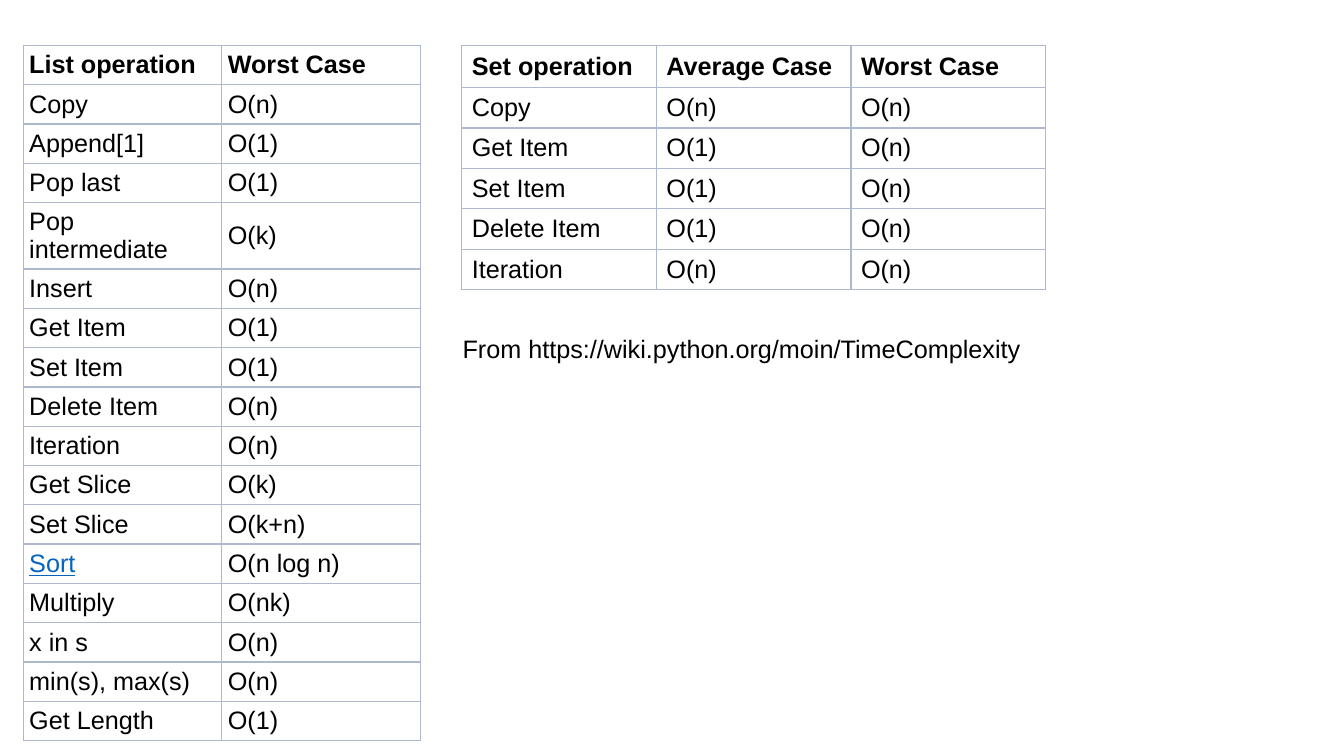
from lxml import etree
from pptx import Presentation
from pptx.dml.color import RGBColor as RGB
from pptx.enum.text import MSO_ANCHOR as Anchor, MSO_AUTO_SIZE as AutoSize
from pptx.oxml.ns import qn
from pptx.util import Inches, Pt

COLORS = {"text": "000000", "link": "0563C1", "cell": "FFFFFF", "border": "ADB9CC"}

LIST_COSTS = [
    ("List operation", "Worst Case"),
    ("Copy", "O(n)"),
    ("Append[1]", "O(1)"),
    ("Pop last", "O(1)"),
    ("Pop intermediate", "O(k)"),
    ("Insert", "O(n)"),
    ("Get Item", "O(1)"),
    ("Set Item", "O(1)"),
    ("Delete Item", "O(n)"),
    ("Iteration", "O(n)"),
    ("Get Slice", "O(k)"),
    ("Set Slice", "O(k+n)"),
    ("Sort", "O(n log n)"),
    ("Multiply", "O(nk)"),
    ("x in s", "O(n)"),
    ("min(s), max(s)", "O(n)"),
    ("Get Length", "O(1)"),
]
SET_COSTS = [
    ("Set operation", "Average Case", "Worst Case"),
    ("Copy", "O(n)", "O(n)"),
    ("Get Item", "O(1)", "O(n)"),
    ("Set Item", "O(1)", "O(n)"),
    ("Delete Item", "O(1)", "O(n)"),
    ("Iteration", "O(n)", "O(n)"),
]


class ComplexitySlide:
    """Holds the text style and the slide being filled."""

    def __init__(self, slide, font="Arial", size=18):
        self.slide, self.font, self.size = slide, font, size

    def style(self, paragraph, color="text", bold=False, underline=False):
        for run in paragraph.runs:
            run.font.name, run.font.size = self.font, Pt(self.size)
            run.font.bold, run.font.underline = bold, underline
            run.font.color.rgb = RGB.from_string(COLORS[color])

    def border(self, cell):
        props = cell._tc.get_or_add_tcPr()
        for index, side in enumerate(("lnL", "lnR", "lnT", "lnB")):
            line = etree.Element(qn(f"a:{side}"), w=str(Pt(1)))
            fill = etree.SubElement(line, qn("a:solidFill"))
            etree.SubElement(fill, qn("a:srgbClr"), val=COLORS["border"])
            props.insert(index, line)

    def table(self, rows, left, top, col_width, header_height, row_height,
              margins=(0.1, 0.05), link=None):
        cols = len(rows[0])
        height = header_height + row_height * (len(rows) - 1)
        grid = self.slide.shapes.add_table(
            len(rows), cols, Inches(left), Inches(top),
            Inches(col_width * cols), Inches(height)).table
        grid.horz_banding = False
        for column in grid.columns:
            column.width = Inches(col_width)
        for r, row in enumerate(rows):
            grid.rows[r].height = Inches(row_height if r else header_height)
            for c, entry in enumerate(row):
                cell = grid.cell(r, c)
                cell.text_frame.text = entry
                cell.vertical_anchor = Anchor.MIDDLE
                cell.margin_left = cell.margin_right = Inches(margins[0])
                cell.margin_top = cell.margin_bottom = Inches(margins[1])
                cell.fill.solid()
                cell.fill.fore_color.rgb = RGB.from_string(COLORS["cell"])
                self.border(cell)
                linked = entry == link
                self.style(cell.text_frame.paragraphs[0],
                           "link" if linked else "text", r == 0, linked)

    def text(self, words, left, top, width, height):
        frame = self.slide.shapes.add_textbox(
            Inches(left), Inches(top), Inches(width), Inches(height)).text_frame
        frame.text = words
        frame.word_wrap = False
        frame.auto_size = AutoSize.SHAPE_TO_FIT_TEXT
        self.style(frame.paragraphs[0])


def main():
    deck = Presentation()
    deck.slide_width, deck.slide_height = Inches(13.33), Inches(7.5)
    page = ComplexitySlide(deck.slides.add_slide(deck.slide_layouts[6]))

    # Source of the figures
    page.text("From https://wiki.python.org/moin/TimeComplexity", 4.49, 3.26, 5.79, 0.4)

    # Costs of list operations
    page.table(LIST_COSTS, 0.23, 0.45, 1.97, 0.39, 0.39, margins=(0.06, 0.03), link="Sort")

    # Costs of set operations
    page.table(SET_COSTS, 4.58, 0.45, 1.93, 0.42, 0.4)

    deck.save("out.pptx")


if __name__ == "__main__":
    main()
